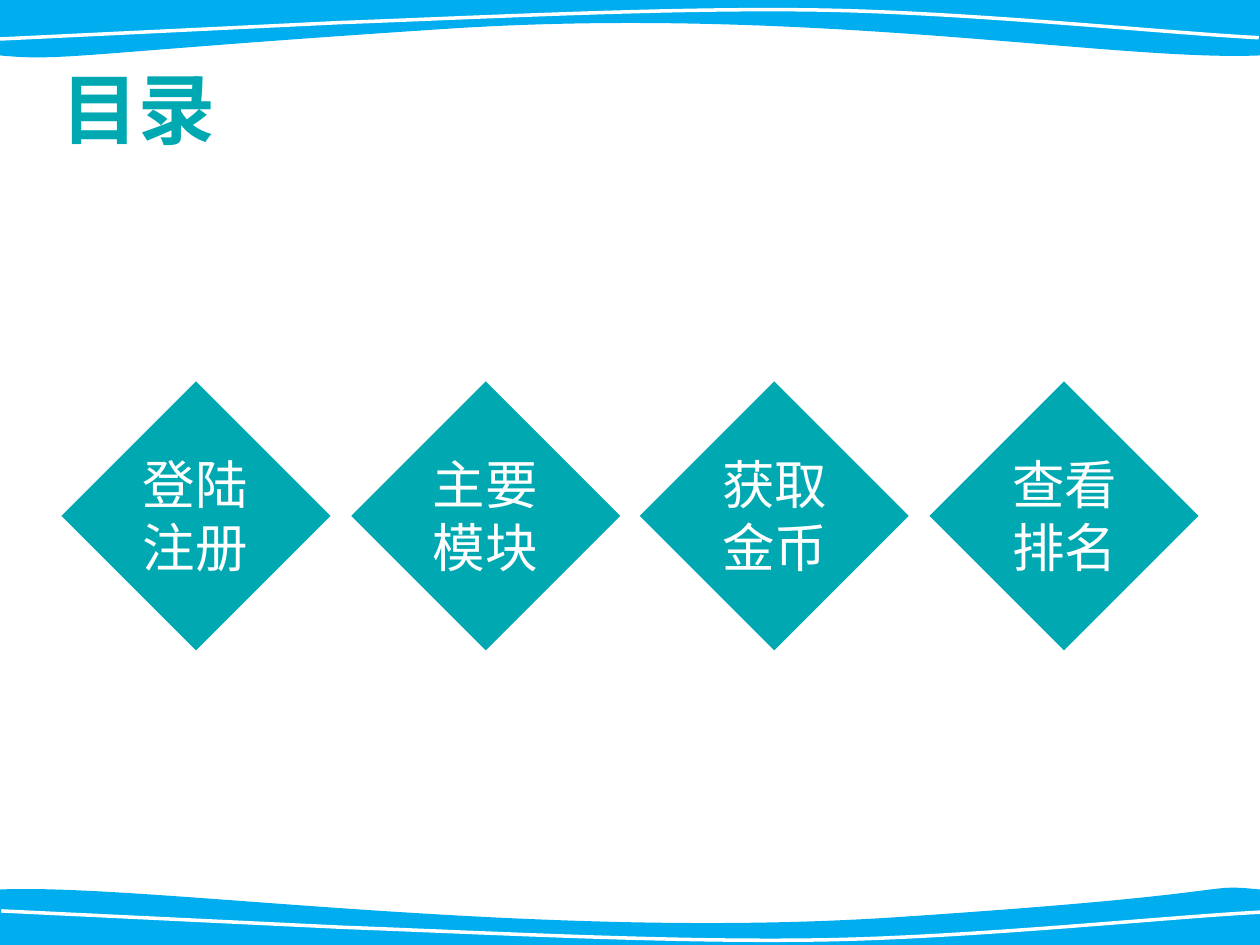
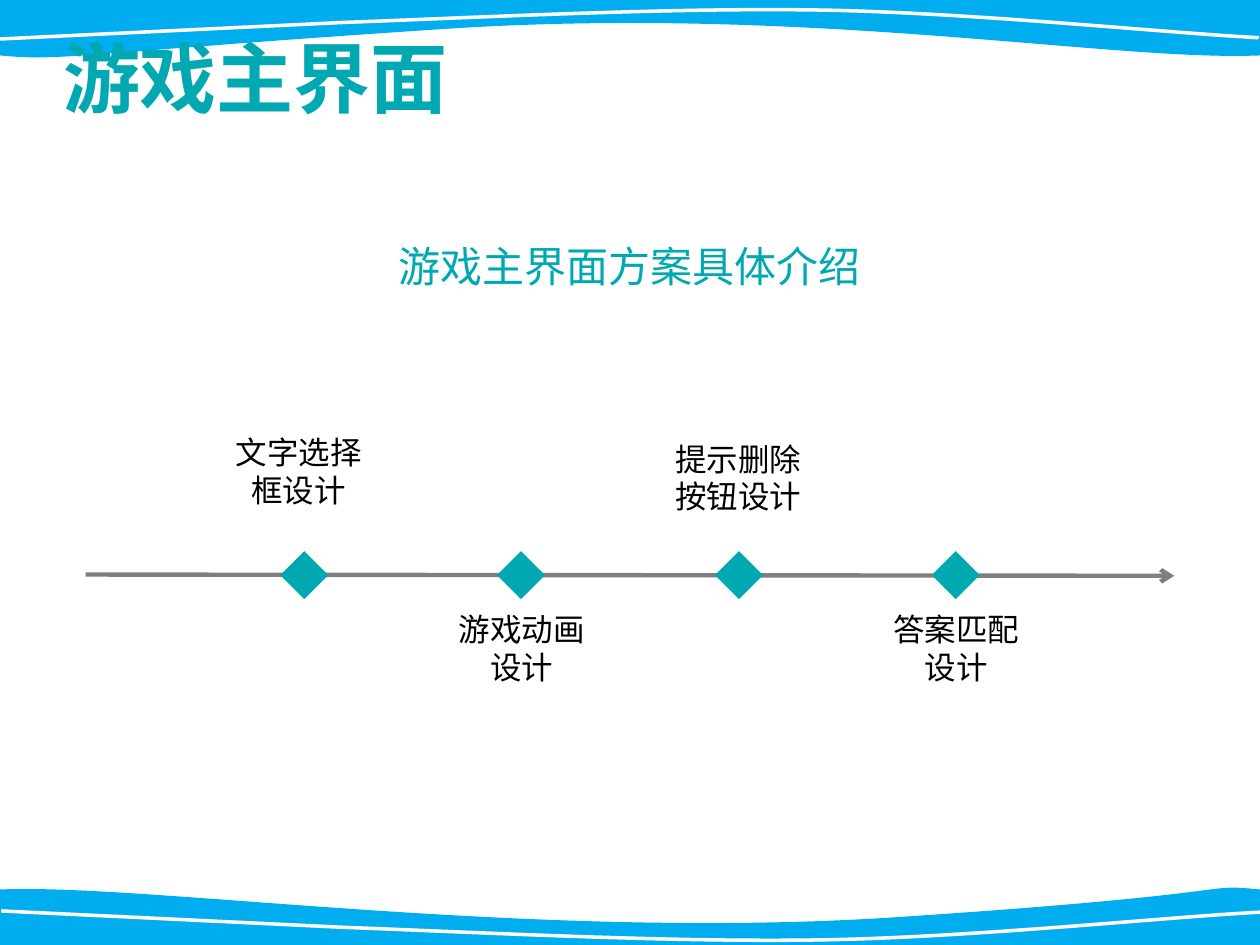
from dataclasses import dataclass
from lxml import etree
from pptx import Presentation
from pptx.dml.color import RGBColor
from pptx.enum.shapes import MSO_CONNECTOR, MSO_SHAPE
from pptx.enum.text import MSO_ANCHOR, MSO_AUTO_SIZE, PP_ALIGN
from pptx.oxml.ns import qn
from pptx.util import Emu, Pt

PX = 9144
RECT, STRAIGHT = MSO_SHAPE.RECTANGLE, MSO_CONNECTOR.STRAIGHT
CENTER, JUSTIFY = PP_ALIGN.CENTER, PP_ALIGN.JUSTIFY
TOP, MIDDLE, NO_FIT = MSO_ANCHOR.TOP, MSO_ANCHOR.MIDDLE, MSO_AUTO_SIZE.NONE
TITLE_ONLY = 5


@dataclass(frozen=True)
class Theme:
    """Colours, font and type sizes of the deck."""
    wave: str = "00ADEE"
    accent: str = "00A9B1"
    axis: str = "7F7F7F"
    white: str = "FFFFFF"
    black: str = "000000"
    font: str = "Noto Sans CJK SC"
    title: int = 44
    topic: int = 30
    subtitle: int = 24
    label: int = 18


THEME = Theme()
TOP_BAND = (
    [(0, 0), (1000, 0), (1000, 44)],
    [(883, 49), (641, 4), (353, 23), (64, 42), (50, 49), (0, 44)])
TOP_STROKE = (
    [(0, 31), (270, 18)],
    [(379, 14), (529, 6), (650, 8), (771, 10), (923, 26), (999, 30)])
BOTTOM_BAND = (
    [(1000, 46), (0, 46), (0, 2)],
    [(117, -3), (423, 43), (711, 24), (999, 5), (950, -3), (1000, 2)])
BOTTOM_STROKE = (
    [(1, 19), (272, 32)],
    [(380, 36), (530, 44), (651, 42), (773, 40), (924, 24), (1000, 20)])
TOPICS = ("登陆注册", "主要模块", "获取金币", "查看排名")
MILESTONES = (
    (("文字选择", "框设计"), -103, -104),
    (("游戏动画", "设计"), -98, 36),
    (("提示删除", "按钮设计"), -99, -99),
    (("答案匹配", "设计"), -98, 36))


def px(*values):
    """Turn px lengths into EMU."""
    return [Emu(round(v * PX)) for v in values]


def rgb(color):
    """Turn a hex string into a colour."""
    return RGBColor.from_string(color)


def set_attrs(obj, values):
    """Set attributes of an object from a dict."""
    for name, value in values.items():
        setattr(obj, name, value)


def spread(start, span, count):
    """List evenly spaced whole positions over a span."""
    return [start + round(i * span / (count - 1)) for i in range(count)]


def write(sp, lines, size, color, align=CENTER, anchor=TOP, bold=False, **para):
    """Fill a shape with one formatted paragraph per line."""
    tf = sp.text_frame
    set_attrs(tf, {"word_wrap": True, "auto_size": NO_FIT, "vertical_anchor": anchor})
    for i, line in enumerate(lines):
        p = tf.add_paragraph() if i else tf.paragraphs[0]
        set_attrs(p, {"alignment": align, **para})
        r = p.add_run()
        r.text = line
        set_attrs(r.font, {"name": THEME.font, "size": Pt(size), "bold": bold})
        r.font.color.rgb = rgb(color)
    for props in sp.element.iter(qn("a:rPr")):
        etree.SubElement(props, qn("a:ea"), typeface=THEME.font)


def add_text(s, box, lines, size, color):
    """Add a centred text box."""
    write(s.shapes.add_textbox(*px(*box)), lines, size, color)


def add_diamond(shapes, x, y, side):
    """Add a square turned onto its corner."""
    sp = shapes.add_shape(RECT, *px(x, y, side, side))
    sp.rotation = 45
    sp.shadow.inherit = False
    sp.fill.solid()
    sp.fill.fore_color.rgb = rgb(THEME.accent)
    sp.line.fill.background()


def add_outline(s, top, edge, controls, close):
    """Add a freeform of straight edges followed by cubic curves."""
    points = [px(x, top + y) for x, y in edge + controls[2::3]]
    fb = s.shapes.build_freeform(*points[0])
    fb.add_line_segments(points[1:], close=close)
    sp = fb.convert_to_shape()
    sp.shadow.inherit = False
    segments = list(sp.element.iter(qn("a:lnTo")))[len(edge) - 1:]
    for i, segment in enumerate(segments[:len(controls) // 3]):
        segment.tag = qn("a:cubicBezTo")
        for k, (x, y) in enumerate(controls[3 * i:3 * i + 2]):
            left, down = px(x, top + y)
            pt = etree.Element(qn("a:pt"), x=str(left - sp.left), y=str(down - sp.top))
            segment.insert(k, pt)
    return sp


def add_wave(s, top, band, stroke):
    """Draw a filled wave with a white stroke over it."""
    wave = add_outline(s, top, *band, True)
    wave.fill.solid()
    wave.fill.fore_color.rgb = rgb(THEME.wave)
    wave.line.fill.background()
    curve = add_outline(s, top, *stroke, False)
    curve.fill.background()
    curve.line.color.rgb = rgb(THEME.white)
    curve.line.width = Pt(2)
    return [wave, curve]


def share_waves(prs, s):
    """Draw both waves and move them to the slide master."""
    waves = add_wave(s, 704, BOTTOM_BAND, BOTTOM_STROKE)
    waves += add_wave(s, 0, TOP_BAND, TOP_STROKE)
    tree = prs.slide_master.shapes.element
    for i, sp in enumerate(waves):
        sp.element.nvSpPr.cNvPr.set("id", str(20 + i))
        tree.insert(2 + i, sp.element)


def add_titled_slide(prs, title, left, top):
    """Add a slide with its title placed."""
    s = prs.slides.add_slide(prs.slide_layouts[TITLE_ONLY])
    sp = s.shapes.title
    set_attrs(sp, dict(zip(("left", "top", "width", "height"),
                           px(left, top, 803, 71))))
    write(sp, [title], THEME.title, THEME.accent, JUSTIFY, MIDDLE,
          True, line_spacing=0.8, space_before=Pt(6))
    return s


def add_topics(s, left, top, span, side):
    """Draw the row of topic diamonds."""
    for i, (topic, x) in enumerate(zip(TOPICS, spread(left, span, len(TOPICS)))):
        add_diamond(s.shapes, x, top, side)
        box = (left + 7 + 230 * i, top + 20, 136, 110)
        add_text(s, box, [topic], THEME.topic, THEME.white)


def add_timeline(s, left, y, width):
    """Draw the arrow, its markers and their labels."""
    side = 27
    top = y - side // 2
    grp = s.shapes.add_group_shape()
    axis = grp.shapes.add_connector(STRAIGHT, *px(left, y, left + width, y + 1))
    axis.line.color.rgb = rgb(THEME.axis)
    axis.line.width = Pt(2.5)
    etree.SubElement(axis.element.spPr.find(qn("a:ln")), qn("a:tailEnd"), type="arrow")
    etree.SubElement(axis.element.spPr, qn("a:effectLst"))
    xs = spread(left + 160, 517, len(MILESTONES))
    for x, (lines, dx, dy) in zip(xs, MILESTONES):
        add_diamond(grp.shapes, x, top, side)
        add_text(s, (x + dx, top + dy, 224, 70), lines, THEME.label, THEME.black)


def main():
    """Build and save the deck."""
    prs = Presentation()
    prs.slide_width, prs.slide_height = px(1000, 750)
    s = add_titled_slide(prs, "目录", 39, 57)
    share_waves(prs, s)
    add_topics(s, 80, 334, 689, 151)
    s = add_titled_slide(prs, "游戏主界面", 40, 32)
    add_text(s, (71, 186, 858, 50), ["游戏主界面方案具体介绍"],
             THEME.subtitle, THEME.accent)
    add_timeline(s, 68, 456, 864)
    prs.save("out.pptx")


if __name__ == "__main__":
    main()
